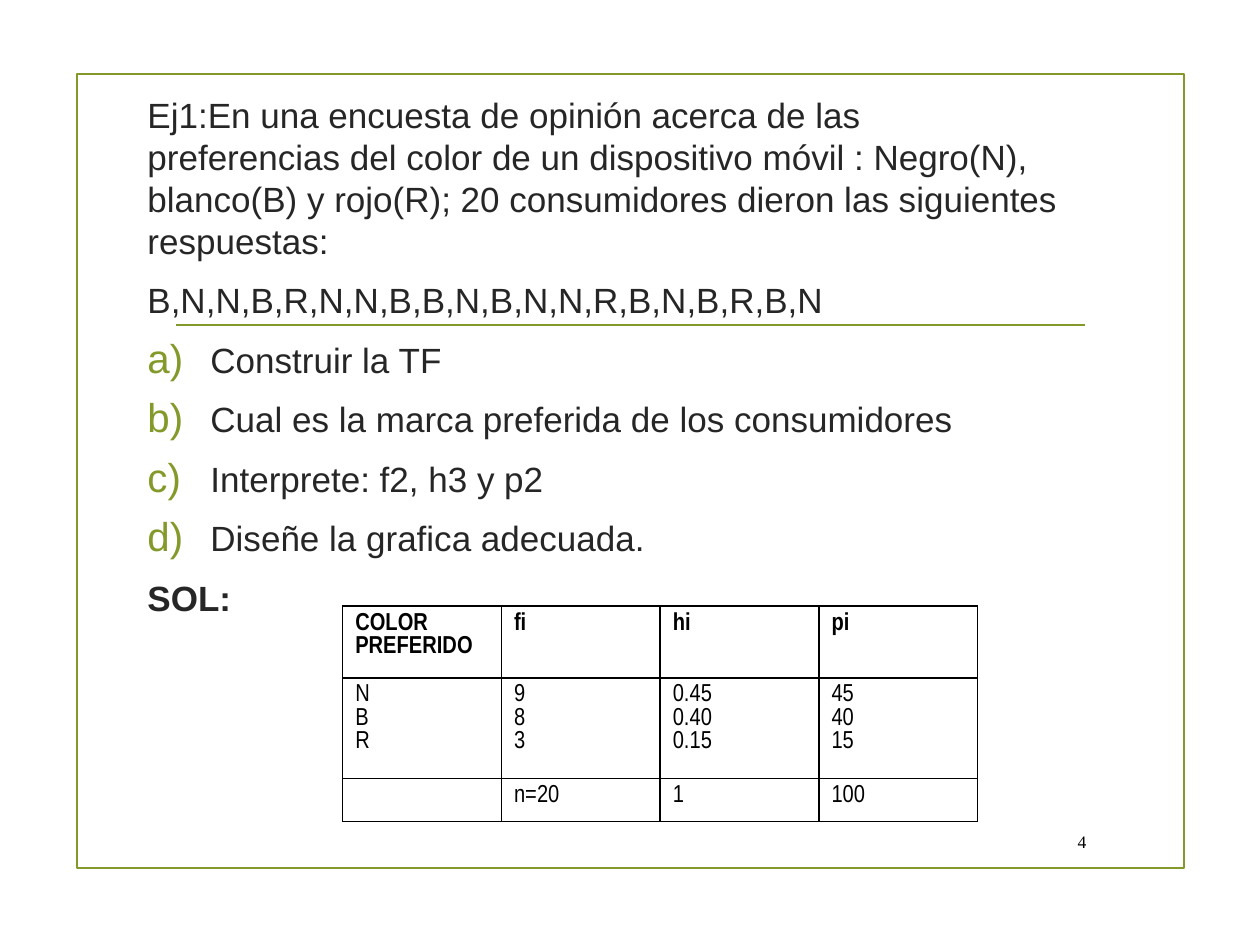
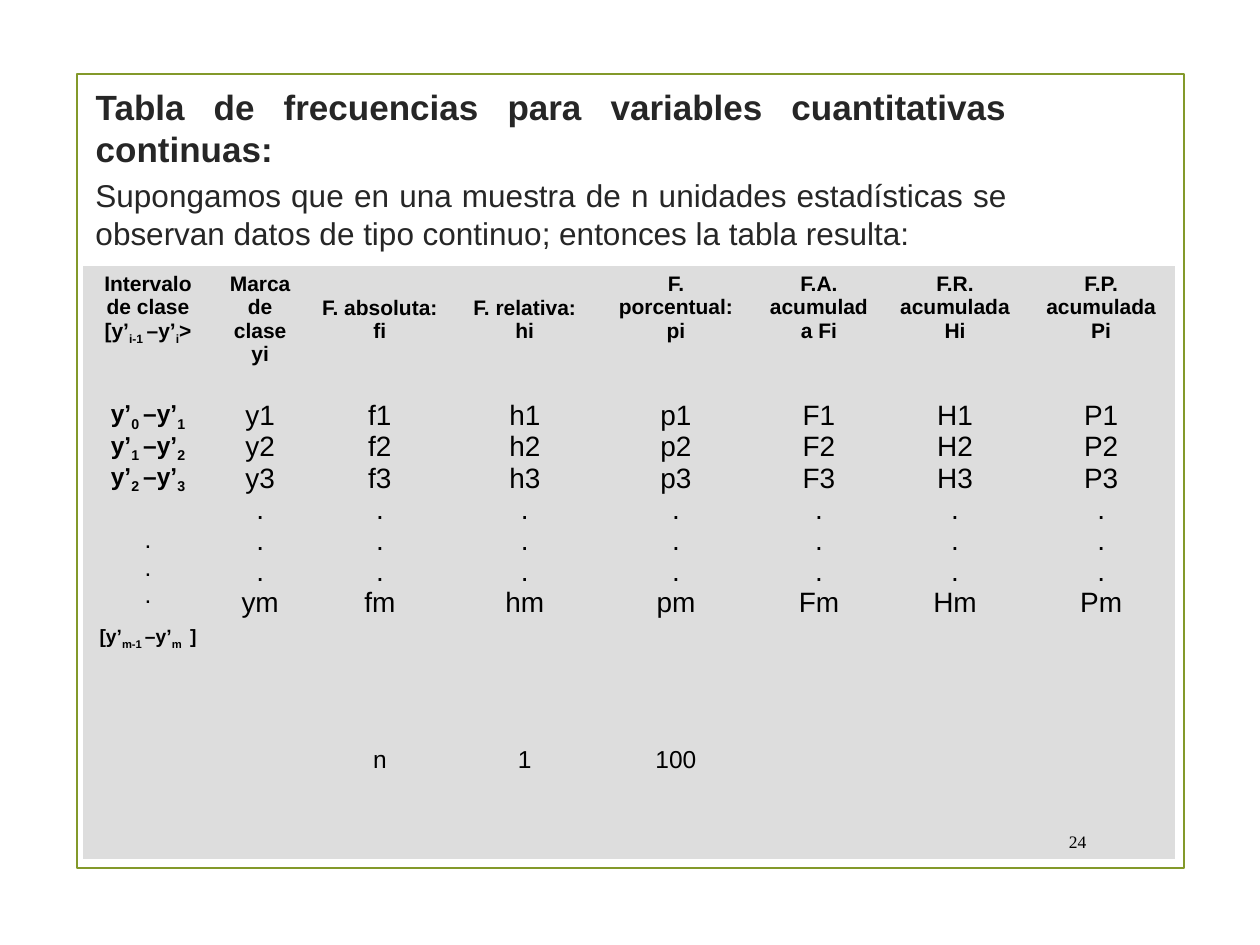
from lxml import etree
from pptx import Presentation
from pptx.dml.color import RGBColor
from pptx.enum.shapes import MSO_CONNECTOR as CONN, MSO_SHAPE as SHAPE
from pptx.enum.text import MSO_ANCHOR as ANCHOR, MSO_AUTO_SIZE as AUTO, PP_ALIGN as ALIGN
from pptx.oxml.ns import qn
from pptx.util import Inches, Pt

GREEN, INK, BLACK, GREY = "83992A", "262626", "000000", "DDDDDD"
rgb = RGBColor.from_string


def write(tf, text, size=14, font="Arial", color=BLACK, bold=False, align=ALIGN.LEFT,
          before=0, after=0):
    """Append one paragraph per line of text; parts between bars are subscripts."""
    tf.word_wrap = True
    added = []
    for line in text.split("\n"):
        p = tf.paragraphs[0] if not tf.text else tf.add_paragraph()
        p.alignment, p.line_spacing = align, 1.0
        p.space_before, p.space_after = Pt(before), Pt(after)
        for i, part in enumerate(line.split("|")):
            if not part:
                p._p.get_or_add_endParaRPr().set("sz", str(size * 100))
                continue
            r = p.add_run()
            r.text = part
            r.font.size, r.font.name, r.font.bold = Pt(size), font, bold
            r.font.color.rgb = rgb(color)
            if i % 2:
                r._r.get_or_add_rPr().set("baseline", "-25000")
        added.append(p)
    return added


def add_grid(s, left, top, cols, rows, border=None, fill=None):
    """Add a table with given column widths, row heights, border and fill colours."""
    tbl = s.shapes.add_table(len(rows), len(cols), Inches(left), Inches(top),
                             Inches(sum(cols)), Inches(sum(rows))).table
    tbl.first_row = tbl.horz_banding = False
    for col, width in zip(tbl.columns, cols):
        col.width = Inches(width)
    for row, height in zip(tbl.rows, rows):
        row.height = Inches(height)
    for cell in tbl.iter_cells():
        tcPr = cell._tc.get_or_add_tcPr()
        for side in ("lnL", "lnR", "lnT", "lnB"):
            ln = etree.SubElement(tcPr, qn(f"a:{side}"), w=str(Pt(1)))
            if border:
                line_fill = etree.SubElement(ln, qn("a:solidFill"))
                etree.SubElement(line_fill, qn("a:srgbClr"), val=border)
            else:
                etree.SubElement(ln, qn("a:noFill"))
        if fill:
            cell.fill.solid()
            cell.fill.fore_color.rgb = rgb(fill)
        else:
            cell.fill.background()
    return tbl


prs = Presentation()
prs.slide_width, prs.slide_height = Inches(10), Inches(7.5)

# Slide 1: exercise statement
s1 = prs.slides.add_slide(prs.slide_layouts[1])
title = s1.shapes.title._element
title.getparent().remove(title)

rule = s1.shapes.add_connector(CONN.STRAIGHT, Inches(1.4), Inches(2.58),
                               Inches(8.61), Inches(2.58))
rule.line.color.rgb, rule.line.width = rgb(GREEN), Pt(1.25)
etree.SubElement(rule._element.spPr, qn("a:effectLst"))

body = s1.placeholders[1]
body.left, body.top, body.width, body.height = map(Inches, (1.07, 0.69, 7.44, 5.97))
tf = body.text_frame
tf.auto_size = AUTO.NONE
body_format = dict(size=20, color=INK, before=4, after=6)
plain = write(tf, "Ej1:En una encuesta de opinión acerca de las preferencias del color de un "
              "dispositivo móvil : Negro(N), blanco(B) y rojo(R); 20 consumidores dieron las "
              "siguientes respuestas:\nB,N,N,B,R,N,N,B,B,N,B,N,N,R,B,N,B,R,B,N", **body_format)
questions = write(tf, "Construir la TF\nCual es la marca preferida de los consumidores\n"
                  "Interprete: f2, h3 y p2\nDiseñe la grafica adecuada.", **body_format)
plain += write(tf, "SOL:", bold=True, **body_format)

# Bullets: none on plain text, green letters on the questions
for p in plain:
    pPr = p._p.get_or_add_pPr()
    pPr.set("marL", "0")
    pPr.set("indent", "0")
    etree.SubElement(pPr, qn("a:buNone"))
for p in questions:
    pPr = p._p.get_or_add_pPr()
    pPr.set("marL", str(Inches(0.5)))
    pPr.set("indent", str(-Inches(0.5)))
    bullet_color = etree.SubElement(pPr, qn("a:buClr"))
    etree.SubElement(bullet_color, qn("a:srgbClr"), val=GREEN)
    etree.SubElement(pPr, qn("a:buSzPct"), val="115000")
    etree.SubElement(pPr, qn("a:buAutoNum"), type="alphaLcParenR")

# Solution table
solution = [
    ["COLOR PREFERIDO", "fi", "hi", "pi"],
    ["N\nB\nR", "9\n8\n3", "0.45\n0.40\n0.15", "45\n40\n15"],
    ["", "n=20", "1", "100"],
]
tbl = add_grid(s1, 2.72, 4.81, [1.26] * 4, [0.57, 0.8, 0.34], border=BLACK)
for i, row in enumerate(solution):
    for j, text in enumerate(row):
        write(tbl.cell(i, j).text_frame, text, font="Arial Narrow", bold=i == 0)

# Slide 2: frequency table for continuous variables
s2 = prs.slides.add_slide(prs.slide_layouts[5])
title = s2.shapes.title
title.left, title.top, title.width, title.height = map(Inches, (0.66, 0.7, 7.43, 0.63))
intro = s2.shapes.add_textbox(Inches(0.66), Inches(1.22), Inches(7.43), Inches(0.96))
for sp, text, size, bold in (
    (title, "Tabla de frecuencias para variables cuantitativas continuas:", 20, True),
    (intro, "Supongamos que en una muestra de n unidades estadísticas se observan datos "
            "de tipo continuo; entonces la tabla resulta:", 18, False),
):
    tf = sp.text_frame
    tf.auto_size, tf.vertical_anchor = AUTO.NONE, ANCHOR.MIDDLE
    write(tf, text, size=size, color=INK, bold=bold, align=ALIGN.JUSTIFY)

headers = ["Intervalo de clase [y’|i-1 |–y’|i|>", "Marca de clase yi", "F. absoluta: fi",
           "F. relativa: hi", "F. porcentual: pi", "F.A. acumulada Fi",
           "F.R. acumulada\nHi", "F.P. acumulada\nPi"]
symbols = ["", "y", "f", "h", "p", "F", "H", "P"]
totals = ["", "", "n", "1", "100", "", "", ""]

tbl = add_grid(s2, 0.66, 2.11, [1.03, 0.75, 1.15, 1.15, 1.25, 1.02, 1.14, 1.18],
               [1.02, 2.74, 0.95], fill=GREY)
for j, (header, symbol, total) in enumerate(zip(headers, symbols, totals)):
    head, classes, foot = (tbl.cell(i, j) for i in range(3))
    write(head.text_frame, header, size=12, bold=True, align=ALIGN.CENTER)
    write(foot.text_frame, total, align=ALIGN.CENTER)
    if symbol:
        rows = [symbol + mark for mark in "123"] + ["."] * 3 + [symbol + "m"]
        write(classes.text_frame, "\n".join(rows), size=16, align=ALIGN.CENTER)
    if header.startswith(("F. absoluta", "F. relativa")):
        head.margin_top = Inches(0.24)

# Class intervals in the first column
tf = tbl.cell(1, 0).text_frame
write(tf, "\n".join(f"y’|{k} |–y’|{k + 1}|" for k in range(3)), bold=True, align=ALIGN.CENTER)
write(tf, ".", align=ALIGN.CENTER, before=18)
write(tf, ".\n.", align=ALIGN.CENTER)
write(tf, "[y’|m-1 |–y’|m | ]", size=11, bold=True, align=ALIGN.CENTER, before=10)

# Shared frame and page number
for s, number in ((s1, "4"), (s2, "24")):
    frame = s.shapes.add_shape(SHAPE.RECTANGLE, Inches(0.61), Inches(0.59),
                               Inches(8.79), Inches(6.3))
    frame.shadow.inherit = False
    frame.fill.background()
    frame.line.color.rgb, frame.line.width = rgb(GREEN), Pt(1.25)
    page = s.shapes.add_textbox(Inches(8.29), Inches(6.52), Inches(0.43), Inches(0.31))
    page.text_frame.vertical_anchor = ANCHOR.MIDDLE
    write(page.text_frame, number, size=10, font="Times New Roman", align=ALIGN.RIGHT)

prs.save("out.pptx")
